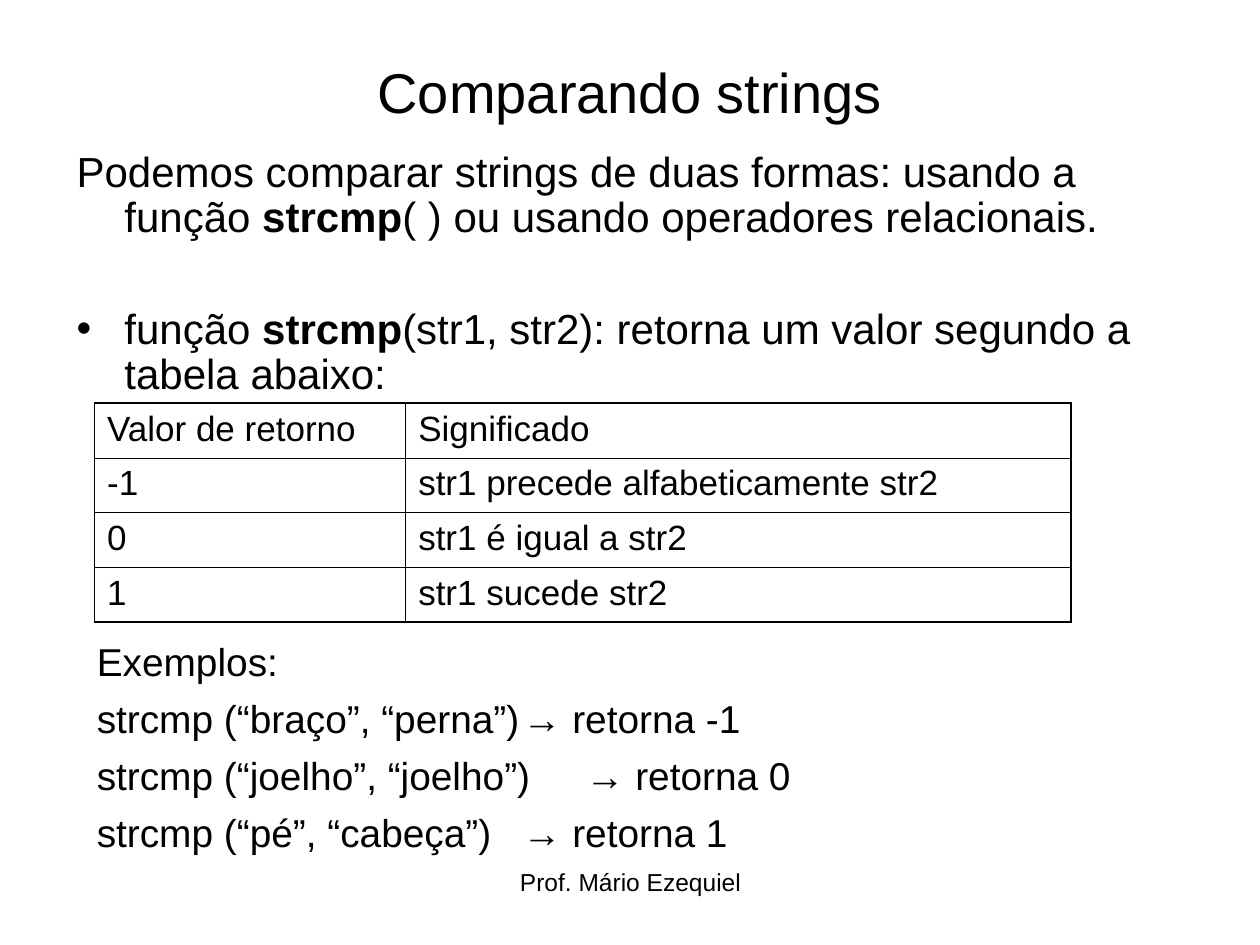
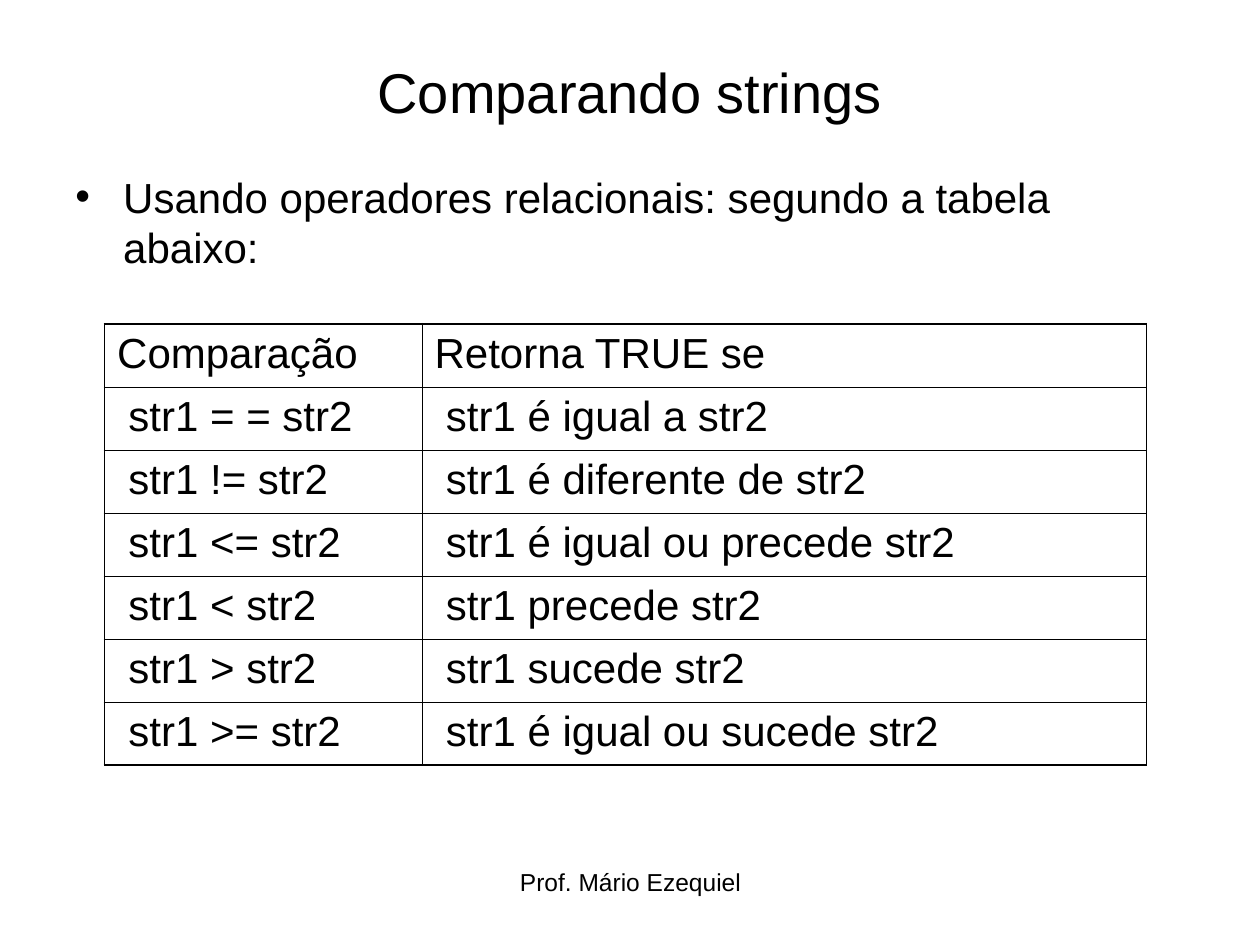
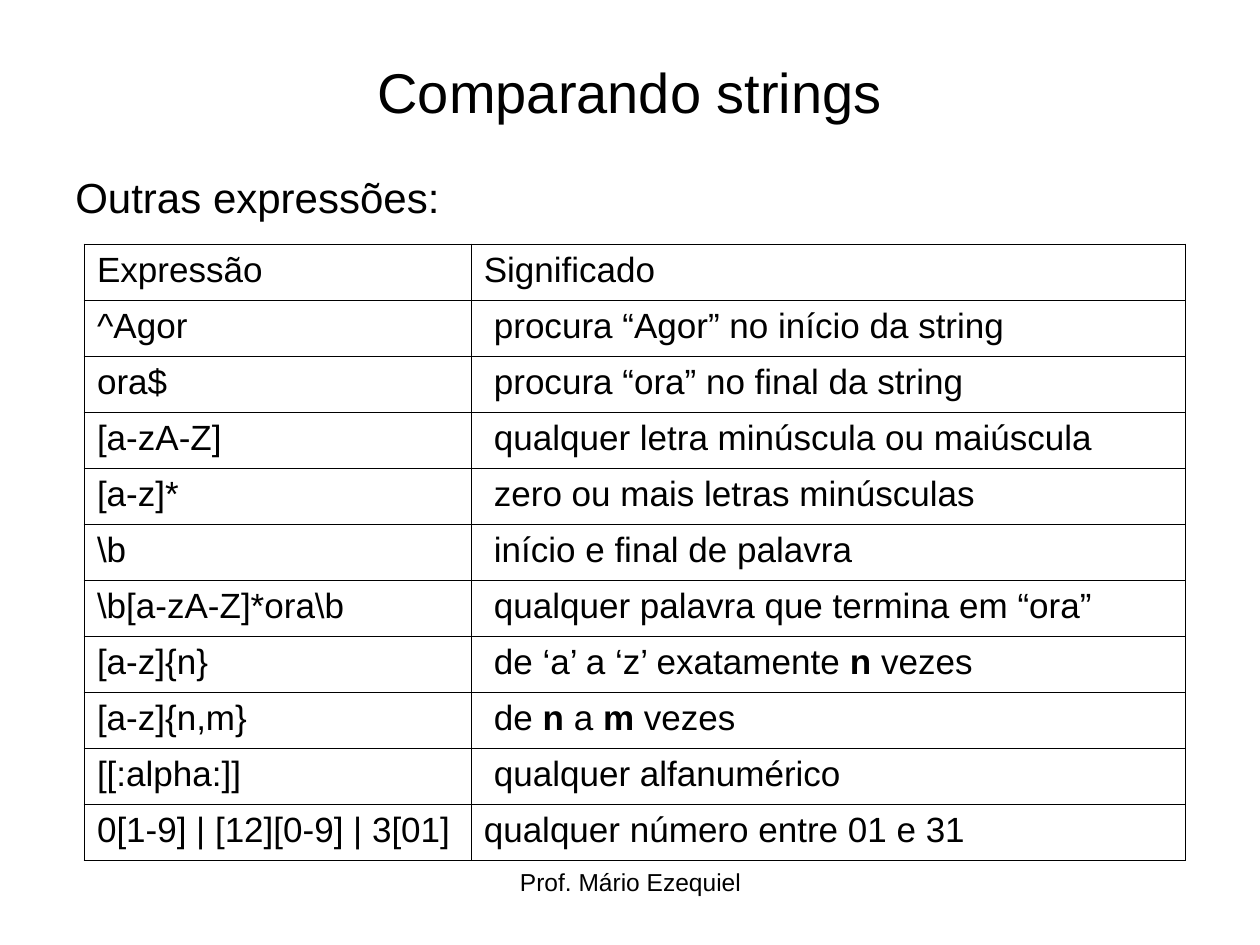
from lxml import etree
from pptx import Presentation
from pptx.dml.color import RGBColor
from pptx.enum.text import MSO_ANCHOR, PP_ALIGN
from pptx.oxml.ns import qn
from pptx.util import Inches, Pt

BLACK = RGBColor(0x00, 0x00, 0x00)
WHITE = RGBColor(0xFF, 0xFF, 0xFF)
FONT = "Arial"
LEFT, CENTER = PP_ALIGN.LEFT, PP_ALIGN.CENTER
TOP, MIDDLE = MSO_ANCHOR.TOP, MSO_ANCHOR.MIDDLE

TITLE = "Comparando strings"
FOOTER = "Prof. Mário Ezequiel"
HANGING = 0.38
CELL_MARGIN = 0.1
OUTER_LINE, INNER_LINE = 1.08, 0.45


def add_runs(para, text, size):
    """Write text run by run; parts between ** marks are bold."""
    for index, part in enumerate(text.split("**")):
        if part:
            span = para.add_run()
            span.text = part
            span.font.name = FONT
            span.font.size = Pt(size)
            span.font.bold = index % 2 == 1
            span.font.color.rgb = BLACK


def add_text(page, place, lines, size, align=LEFT, anchor=TOP, hanging=0,
             line_spacing=None, gap=6, tabs=()):
    """Add a text box; a line that starts with • becomes a bulleted paragraph."""
    box = page.shapes.add_textbox(*[Inches(length) for length in place])
    frame = box.text_frame
    frame.word_wrap = True
    frame.vertical_anchor = anchor
    for index, line in enumerate(lines):
        para = frame.paragraphs[0] if index == 0 else frame.add_paragraph()
        para.alignment = align
        properties = para._p.get_or_add_pPr()
        if hanging:
            properties.set("marL", str(Inches(hanging)))
            properties.set("indent", str(-Inches(hanging)))
        if line.startswith("•"):
            etree.SubElement(properties, qn("a:buFont"), typeface=FONT)
            etree.SubElement(properties, qn("a:buChar"), char="•")
        else:
            etree.SubElement(properties, qn("a:buNone"))
        if tabs:
            tab_list = etree.SubElement(properties, qn("a:tabLst"))
            for position in tabs:
                etree.SubElement(tab_list, qn("a:tab"), pos=str(Inches(position)), algn="l")
        if line_spacing:
            para.line_spacing = line_spacing
        if index > 0:
            para.space_before = Pt(gap)
        add_runs(para, line.lstrip("•"), size)


RETURN_VALUES = [
    ("Valor de retorno", "Significado"),
    ("-1", "str1 precede alfabeticamente str2"),
    ("0", "str1 é igual a str2"),
    ("1", "str1 sucede str2"),
]
OPERATORS = [
    ("Comparação", "Retorna TRUE se"),
    ("str1 = = str2", "str1 é igual a str2"),
    ("str1 != str2", "str1 é diferente de str2"),
    ("str1 <= str2", "str1 é igual ou precede str2"),
    ("str1 < str2", "str1 precede str2"),
    ("str1 > str2", "str1 sucede str2"),
    ("str1 >= str2", "str1 é igual ou sucede str2"),
]
EXPRESSIONS = [
    ("Expressão", "Significado"),
    ("^Agor", "procura “Agor” no início da string"),
    ("ora$", "procura “ora” no final da string"),
    ("[a-zA-Z]", "qualquer letra minúscula ou maiúscula"),
    ("[a-z]*", "zero ou mais letras minúsculas"),
    (r"\b", "início e final de palavra"),
    (r"\b[a-zA-Z]*ora\b", "qualquer palavra que termina em “ora”"),
    ("[a-z]{n}", "de ‘a’ a ‘z’ exatamente **n** vezes"),
    ("[a-z]{n,m}", "de **n** a **m** vezes"),
    ("[[:alpha:]]", "qualquer alfanumérico"),
    ("0[1-9] | [12][0-9] | 3[01]", "qualquer número entre 01 e 31"),
]

# indents: extra left margin per column, for the rows 1 to last_indented
SLIDES = [
    dict(body=["Podemos comparar strings de duas formas: usando a função **strcmp**( ) "
               "ou usando operadores relacionais.",
               "•função **strcmp**(str1, str2): retorna um valor segundo a tabela abaixo:"],
         body_place=(0.51, 1.15, 9, 2.13), line_spacing=0.9, gap=38,
         rows=RETURN_VALUES, corner=(0.75, 3.2), widths=(2.47, 5.28), height=1.73,
         size=20, indents=(0, 0), last_indented=0),
    dict(body=["•Usando operadores relacionais: segundo a tabela abaixo:"],
         body_place=(0.5, 1.31, 9, 0.94), line_spacing=None, gap=6,
         rows=OPERATORS, corner=(0.83, 2.57), widths=(2.52, 5.75), height=3.5,
         size=24, indents=(0.09, 0.09), last_indented=6),
    dict(body=["Outras expressões:"],
         body_place=(0.5, 1.31, 9, 0.63), line_spacing=None, gap=6,
         rows=EXPRESSIONS, corner=(0.67, 1.94), widths=(3.07, 5.67), height=4.89,
         size=20, indents=(0, 0.08), last_indented=9),
]

deck = Presentation()
deck.slide_width, deck.slide_height = Inches(10), Inches(7.5)
blank = deck.slide_layouts[6]
pages = []

for content in SLIDES:
    page = deck.slides.add_slide(blank)
    pages.append(page)
    page.background.fill.solid()
    page.background.fill.fore_color.rgb = WHITE
    add_text(page, (3.42, 6.83, 3.17, 0.52), [FOOTER], 14, align=CENTER)
    add_text(page, (0.5, 0.3, 9, 0.85), [TITLE], 32, align=CENTER, anchor=MIDDLE)
    add_text(page, content["body_place"], content["body"], 24, hanging=HANGING,
             line_spacing=content["line_spacing"], gap=content["gap"])

    rows, widths = content["rows"], content["widths"]
    left, top = content["corner"]
    table = page.shapes.add_table(len(rows), len(widths), Inches(left), Inches(top),
                                  Inches(sum(widths)), Inches(content["height"])).table
    table.first_row = table.horz_banding = False
    for column, width in zip(table.columns, widths):
        column.width = Inches(width)
    for row_index, row in enumerate(rows):
        for column_index, text in enumerate(row):
            cell = table.cell(row_index, column_index)
            indented = 1 <= row_index <= content["last_indented"]
            extra = content["indents"][column_index] if indented else 0
            cell.margin_left = Inches(CELL_MARGIN + extra)
            cell.margin_right = Inches(CELL_MARGIN)
            add_runs(cell.text_frame.paragraphs[0], text, content["size"])
            outer_sides = {
                "a:lnL": column_index == 0,
                "a:lnR": column_index == len(row) - 1,
                "a:lnT": row_index == 0,
                "a:lnB": row_index == len(rows) - 1,
            }
            cell_properties = cell._tc.get_or_add_tcPr()
            for side, is_outer in outer_sides.items():
                width = Pt(OUTER_LINE if is_outer else INNER_LINE)
                line = etree.SubElement(cell_properties, qn(side), w=str(width))
                line_fill = etree.SubElement(line, qn("a:solidFill"))
                etree.SubElement(line_fill, qn("a:srgbClr"), val=str(BLACK))
            cell.fill.background()

add_text(pages[0], (0.67, 5.01, 9, 1.89),
         ["Exemplos:",
          "strcmp (“braço”, “perna”)\t→ retorna -1",
          "strcmp (“joelho”, “joelho”)\t→ retorna 0",
          "strcmp (“pé”, “cabeça”)\t→ retorna 1"],
         22.2, hanging=HANGING, tabs=range(8))

deck.save("out.pptx")
